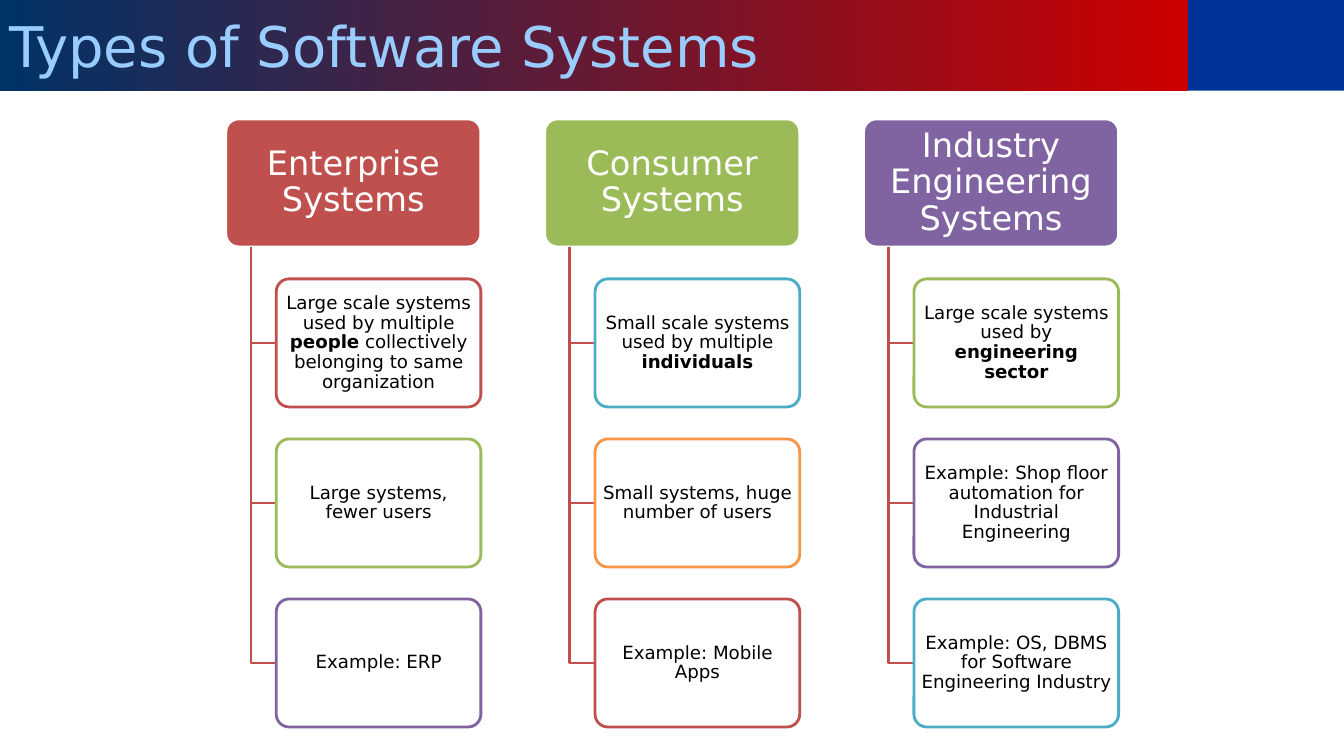
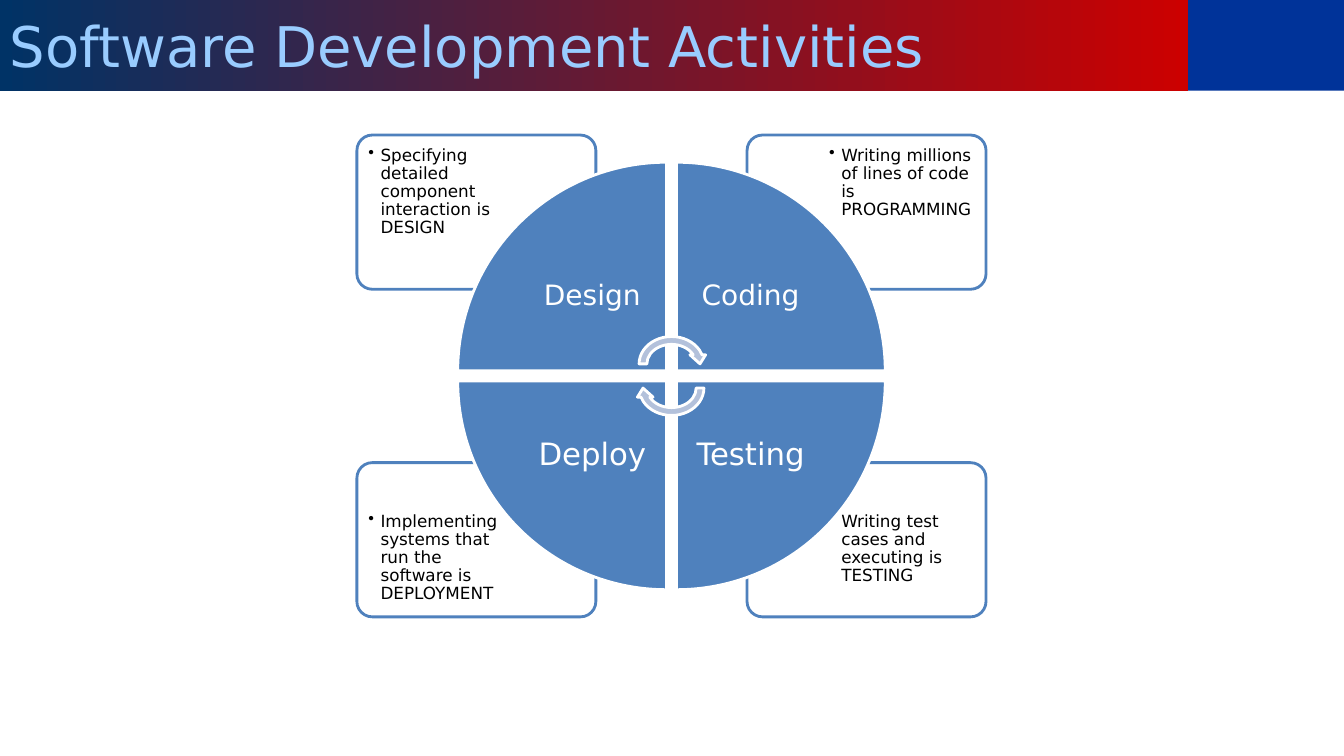
from pptx import Presentation
from pptx.dml.color import RGBColor
from pptx.enum.shapes import MSO_SHAPE as SHAPE
from pptx.enum.text import MSO_ANCHOR as ANCHOR, PP_ALIGN as ALIGN
from pptx.oxml.ns import qn
from pptx.util import Inches, Pt
from lxml import etree

# Palette
WHITE, BLACK = "FFFFFF", "000000"
NAVY, DARK, RED, SKY = "003399", "003366", "CC0000", "99CCFF"
BRICK, GREEN, PURPLE = "C0504D", "9BBB59", "8064A2"
TEAL, ORANGE, BLUE, PALE = "4BACC6", "F79646", "4F81BD", "B3C1DB"


def rgb(color):
    return RGBColor.from_string(color)


class Deck:
    font = "DejaVu Sans"
    line_width = Pt(2)
    band_width, band_height = 11.78, 0.9

    def __init__(self):
        self.prs = Presentation()
        self.prs.slide_width, self.prs.slide_height = Inches(13.33), Inches(7.5)
        self.s = None

    def slide(self, title):
        """Start a slide with the shared title band."""
        self.s = self.prs.slides.add_slide(self.prs.slide_layouts[6])
        w, h = self.band_width, self.band_height
        self.shape(SHAPE.RECTANGLE, w, 0, 13.33 - w, h, NAVY)
        sp = self.shape(SHAPE.RECTANGLE, 0, 0, w, h)
        sp.fill.gradient()
        sp.fill.gradient_angle = 0
        for stop, color in zip(sp.fill.gradient_stops, (DARK, RED)):
            stop.color.rgb = rgb(color)
        self.text(sp, title, 40, SKY, align=ALIGN.LEFT, spacing=1,
                  insets=(0.1, 0.05, 0.1, 0.05))

    def shape(self, kind, x, y, w, h, fill=None, line=None, rotation=0):
        sp = self.s.shapes.add_shape(kind, Inches(x), Inches(y), Inches(w), Inches(h))
        sp.rotation = rotation
        self.style(sp, fill, line)
        return sp

    def style(self, sp, fill, line):
        sp.shadow.inherit = False
        if fill:
            sp.fill.solid()
            sp.fill.fore_color.rgb = rgb(fill)
        else:
            sp.fill.background()
        if line:
            sp.line.color.rgb = rgb(line)
            sp.line.width = self.line_width
        else:
            sp.line.fill.background()

    def box(self, x, y, w, h, fill, line):
        sp = self.shape(SHAPE.ROUNDED_RECTANGLE, x, y, w, h, fill, line)
        sp.adjustments[0] = 0.1
        return sp

    def clear_box(self, x, y, w, h, line):
        """A rounded box with a slightly transparent white fill."""
        sp = self.box(x, y, w, h, WHITE, line)
        color = sp.fill._xPr.find(qn("a:solidFill"))[0]
        etree.SubElement(color, qn("a:alpha"), val="90000")
        return sp

    def elbow(self, x, top, right, bottom, color):
        """A line that runs down and then right."""
        builder = self.s.shapes.build_freeform(Inches(x), Inches(top))
        builder.add_line_segments(
            [(Inches(x), Inches(bottom)), (Inches(right), Inches(bottom))], close=False)
        self.style(builder.convert_to_shape(), None, color)

    def label(self, x, y, w, h, text, size, color, inset):
        sp = self.s.shapes.add_textbox(Inches(x), Inches(y), Inches(w), Inches(h))
        self.text(sp, text, size, color, insets=(inset,) * 4)

    def text(self, sp, text, size, color, align=ALIGN.CENTER, anchor=ANCHOR.MIDDLE,
             spacing=0.9, insets=(0.03, 0.02, 0.03, 0.02), bullet=False):
        """Fill a shape with one paragraph; **marks** make words bold."""
        tf = sp.text_frame
        tf.word_wrap, tf.vertical_anchor = True, anchor
        tf.margin_left, tf.margin_top, tf.margin_right, tf.margin_bottom = map(Inches, insets)
        p = tf.paragraphs[0]
        p.alignment, p.line_spacing = align, spacing
        p.font.name, p.font.size, p.font.color.rgb = self.font, Pt(size), rgb(color)
        for i, part in enumerate(text.split("**")):
            if part:
                r = p.add_run()
                r.text = part
                if i % 2:
                    r.font.bold = True
        if bullet:
            pPr = p._p.get_or_add_pPr()
            pPr.set("marL", str(Inches(0.12)))
            pPr.set("indent", str(-Inches(0.12)))
            mark = etree.Element(qn("a:buChar"), char="•")
            pPr.find(qn("a:defRPr")).addprevious(mark)


def system_types(deck):
    deck.slide("Types of Software Systems")
    columns = [
        ("Enterprise Systems", BRICK, [
            ("Large scale systems used by multiple **people** collectively "
             "belonging to same organization", BRICK),
            ("Large systems, fewer users", GREEN),
            ("Example: ERP", PURPLE)]),
        ("Consumer Systems", GREEN, [
            ("Small scale systems used by multiple **individuals**", TEAL),
            ("Small systems, huge number of users", ORANGE),
            ("Example: Mobile Apps", BRICK)]),
        ("Industry Engineering Systems", PURPLE, [
            ("Large scale systems used by **engineering sector**", GREEN),
            ("Example: Shop floor automation for Industrial Engineering", PURPLE),
            ("Example: OS, DBMS for Software Engineering Industry", TEAL)]),
    ]
    left, top, head_w, box_w, h = 2.24, 1.18, 2.53, 2.03, 1.27
    pitch_x = head_w * 1.25
    pitch_y = h * 1.25
    for col, (heading, color, items) in enumerate(columns):
        x = left + col * pitch_x
        sp = deck.box(x, top, head_w, h, color, WHITE)
        deck.text(sp, heading, 24, WHITE, insets=(0.05, 0.03, 0.05, 0.03))
        for row, (item, outline) in enumerate(items, 1):
            y = top + row * pitch_y
            deck.elbow(x + 0.25, top + h, x + 0.5, y + h / 2, BRICK)
            sp = deck.clear_box(x + 0.5, y, box_w, h, outline)
            deck.text(sp, item, 13, BLACK)


def activities(deck):
    deck.slide("Software Development Activities")
    cx, cy = 6.66, 3.73

    def place(right, low, gap_x, gap_y, w, h):
        """Put a w by h element in one quadrant, away from the centre."""
        x = cx + gap_x if right else cx - gap_x - w
        y = cy + gap_y if low else cy - gap_y - h
        return x, y, w, h

    # Clockwise from the upper left: right, low, name, size, inset, detail
    quadrants = [
        (0, 0, "Design", 20, 0.16, "Specifying detailed component interaction is DESIGN"),
        (1, 0, "Coding", 20, 0.16, "Writing millions of lines of code is PROGRAMMING"),
        (1, 1, "Testing", 22, 0.17, "Writing test cases and executing is TESTING"),
        (0, 1, "Deploy", 22, 0.17, "Implementing systems that run the software is DEPLOYMENT"),
    ]
    # Detail boxes behind the wheel
    for right, low, _, _, _, detail in quadrants:
        sp = deck.clear_box(*place(right, low, 0.75, 0.86, 2.37, 1.53), BLUE)
        near, far = 0.07, 0.77
        deck.text(sp, detail, 12, BLACK, ALIGN.LEFT, ANCHOR.TOP, bullet=True,
                  insets=(far if right else near, 0.45 if low else near,
                          near if right else far, near))
    # Wheel
    for i, (right, low, name, size, inset, _) in enumerate(quadrants):
        deck.shape(SHAPE.PIE_WEDGE, *place(right, low, 0.05, 0.05, 2.07, 2.07),
                   BLUE, WHITE, 90 * i)
        deck.label(*place(right, low, 0.05, 0.05, 1.47, 1.47), name, size, WHITE, inset)
    # Turning arrows
    for y, rotation in ((3.3, 0), (3.54, 180)):
        deck.shape(SHAPE.CIRCULAR_ARROW, cx - 0.36, y, 0.72, 0.62, PALE, WHITE, rotation)


def main():
    deck = Deck()
    system_types(deck)
    activities(deck)
    deck.prs.save("out.pptx")


if __name__ == "__main__":
    main()
